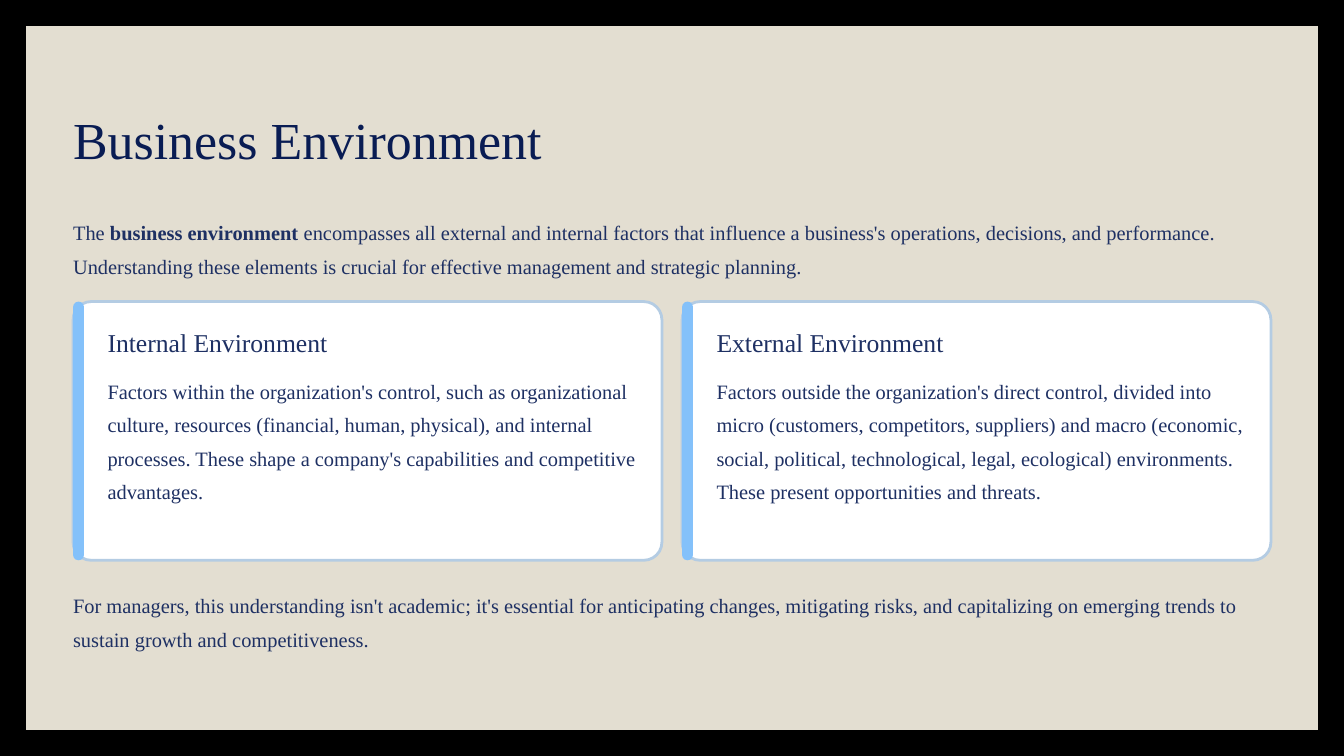
import pptx
import pptx.util
import pptx.dml.color
import pptx.enum.shapes
import pptx.enum.text

Inches = pptx.util.Inches
Pt = pptx.util.Pt

COLORS = {
    "frame": "000000",
    "panel": "E3DED1",
    "title": "091C53",
    "text": "1E3063",
    "card": "FFFFFF",
    "border": "B4CCE3",
    "accent": "84C1FA",
}
FONT = "Times New Roman"

# Grid in inches: two equal columns between the side margins
WIDTH, HEIGHT = 16, 9
FRAME = 0.31
MARGIN = 0.87
GUTTER = 0.24
CONTENT_WIDTH = WIDTH - 2 * MARGIN
CARD_WIDTH = (CONTENT_WIDTH - GUTTER) / 2
CARD_TOP, CARD_HEIGHT = 3.59, 3.08
ACCENT_WIDTH = 0.13
CARD_INDENT = 0.41
CARD_TEXT_WIDTH = 6.31

# Text styles: size, line spacing, colour
TITLE = (44.5, 55.5, "title")
HEADING = (22, 27.5, "text")
BODY = (17.5, 28.5, "text")

INTRODUCTION = [
    ("The ", False),
    ("business environment", True),
    (" encompasses all external and internal factors that influence a business's "
     "operations, decisions, and performance. Understanding these elements is crucial "
     "for effective management and strategic planning.", False),
]
CARDS = [
    ("Internal Environment",
     "Factors within the organization's control, such as organizational culture, "
     "resources (financial, human, physical), and internal processes. These shape a "
     "company's capabilities and competitive advantages."),
    ("External Environment",
     "Factors outside the organization's direct control, divided into micro (customers, "
     "competitors, suppliers) and macro (economic, social, political, technological, "
     "legal, ecological) environments. These present opportunities and threats."),
]
CONCLUSION = (
    "For managers, this understanding isn't academic; it's essential for anticipating "
    "changes, mitigating risks, and capitalizing on emerging trends to sustain growth "
    "and competitiveness.")


def color(name):
    return pptx.dml.color.RGBColor.from_string(COLORS[name])


def write_text(shape, runs, style, wrap=True):
    size, spacing, color_name = style
    frame = shape.text_frame
    frame.margin_left = frame.margin_right = frame.margin_top = frame.margin_bottom = 0
    frame.word_wrap = wrap
    frame.auto_size = pptx.enum.text.MSO_AUTO_SIZE.NONE
    frame.vertical_anchor = pptx.enum.text.MSO_ANCHOR.TOP
    paragraph = frame.paragraphs[0]
    paragraph.alignment = pptx.enum.text.PP_ALIGN.LEFT
    paragraph.line_spacing = Pt(spacing)
    for text, bold in runs:
        run = paragraph.add_run()
        run.text = text
        run.font.name = FONT
        run.font.size = Pt(size)
        run.font.bold = bold
        run.font.color.rgb = color(color_name)


def add_text(slide, left, top, width, height, runs, style, wrap=True):
    box = slide.shapes.add_textbox(Inches(left), Inches(top), Inches(width), Inches(height))
    write_text(box, runs, style, wrap)


def add_box(slide, kind, left, top, width, height, fill, border=None, radius=None):
    shape = slide.shapes.add_shape(
        kind, Inches(left), Inches(top), Inches(width), Inches(height))
    shape.shadow.inherit = False
    shape.fill.solid()
    shape.fill.fore_color.rgb = color(fill)
    if border:
        shape.line.color.rgb = color(border)
        shape.line.width = Pt(2.4)
    else:
        shape.line.fill.background()
    if radius is not None:
        shape.adjustments[0] = radius


def add_title(slide, text):
    title = slide.shapes.title
    title.left, title.top = Inches(MARGIN), Inches(1.25)
    title.width, title.height = Inches(12.11), Inches(0.78)
    write_text(title, [(text, False)], TITLE, wrap=False)


def add_card(slide, column, heading, body):
    rounded = pptx.enum.shapes.MSO_SHAPE.ROUNDED_RECTANGLE
    left = MARGIN + column * (CARD_WIDTH + GUTTER)
    text_left = left + CARD_INDENT
    add_box(slide, rounded, left, CARD_TOP, CARD_WIDTH, CARD_HEIGHT, "card", "border", 0.07)
    add_box(slide, rounded, left, CARD_TOP, ACCENT_WIDTH, CARD_HEIGHT, "accent", radius=0.5)
    add_text(slide, text_left, CARD_TOP + 0.29, 3.18, 0.39,
             [(heading, False)], HEADING, wrap=False)
    add_text(slide, text_left, CARD_TOP + 0.82, CARD_TEXT_WIDTH, 1.98,
             [(body, False)], BODY)


def main():
    presentation = pptx.Presentation()
    presentation.slide_width, presentation.slide_height = Inches(WIDTH), Inches(HEIGHT)
    slide = presentation.slides.add_slide(presentation.slide_layouts.get_by_name("Title Only"))

    # Dark frame around a light panel
    slide.background.fill.solid()
    slide.background.fill.fore_color.rgb = color("frame")
    add_box(slide, pptx.enum.shapes.MSO_SHAPE.RECTANGLE, FRAME, FRAME,
            WIDTH - 2 * FRAME, HEIGHT - 2 * FRAME, "panel")
    # The title is drawn above the panel
    tree = slide.shapes.title.element.getparent()
    tree.append(slide.shapes.title.element)

    # Title and introduction
    add_title(slide, "Business Environment")
    add_text(slide, MARGIN, 2.52, CONTENT_WIDTH, 0.79, INTRODUCTION, BODY)

    # One card per environment
    for column, (heading, body) in enumerate(CARDS):
        add_card(slide, column, heading, body)

    # Conclusion
    add_text(slide, MARGIN, 6.96, CONTENT_WIDTH, 0.79, [(CONCLUSION, False)], BODY)

    presentation.save("out.pptx")


if __name__ == "__main__":
    main()
